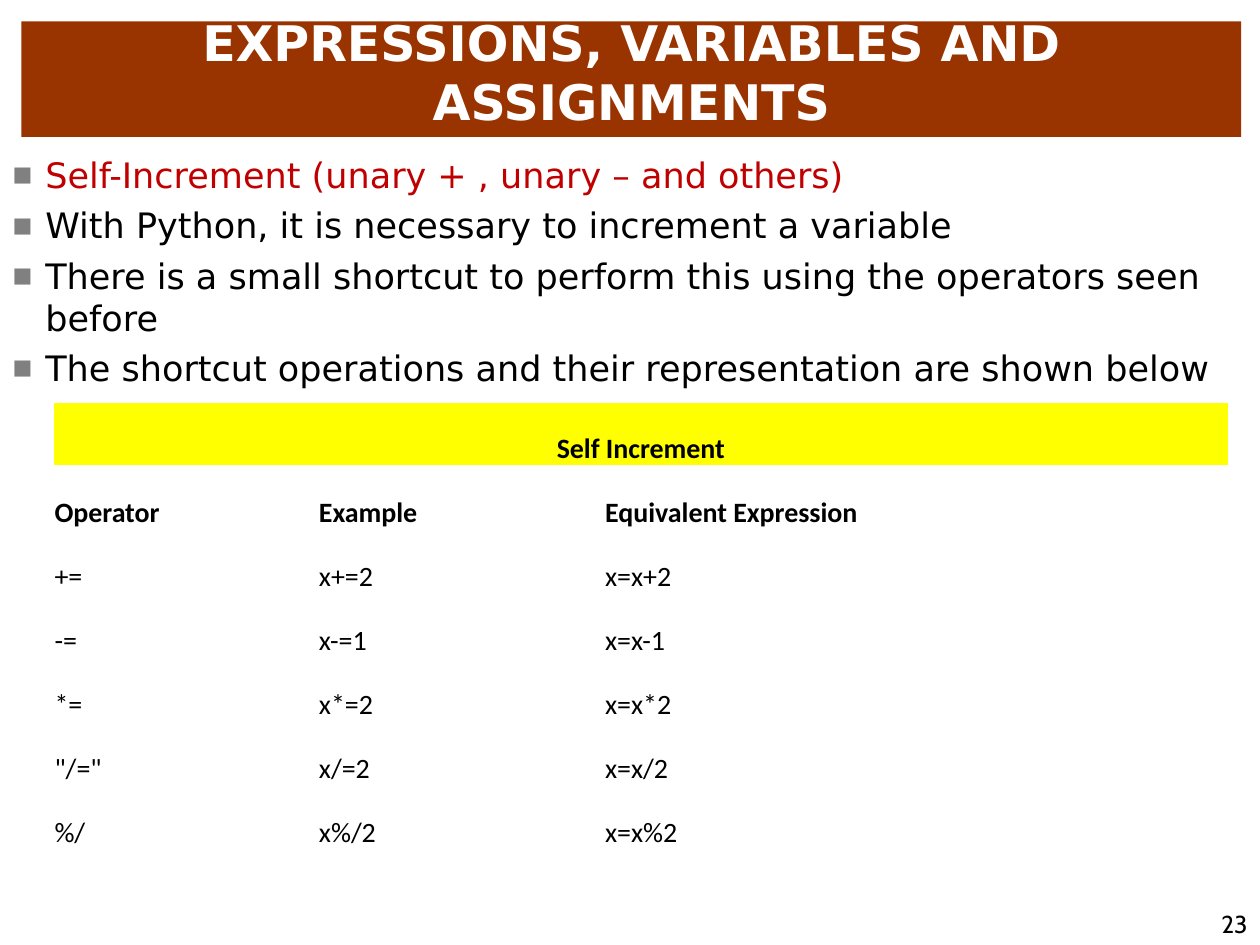
from lxml.etree import SubElement
from pptx import Presentation
from pptx.dml.color import RGBColor
from pptx.enum.text import MSO_ANCHOR as Anchor, MSO_AUTO_SIZE as AutoSize, PP_ALIGN as Align
from pptx.oxml.ns import qn
from pptx.util import Cm, Pt

COLORS = {
    "banner": "993300",
    "banner_text": "FFFFFF",
    "text": "000000",
    "accent": "C00000",
    "bullet": "808080",
    "table_title": "FFFF00",
}
HEADING_FONT = "DejaVu Sans"
TABLE_FONT = "Calibri"

TITLE = "EXPRESSIONS, VARIABLES AND ASSIGNMENTS"
POINTS = [
    ("Self-Increment (unary + , unary – and others)", "accent"),
    ("With Python, it is necessary to increment a variable", "text"),
    ("There is a small shortcut to perform this using the operators seen before", "text"),
    ("The shortcut operations and their representation are shown below", "text"),
]
TABLE_TITLE = "Self Increment"
OPERATORS = [
    ("Operator", "Example", "Equivalent Expression"),
    ("+=", "x+=2", "x=x+2"),
    ("-=", "x-=1", "x=x-1"),
    ("*=", "x*=2", "x=x*2"),
    ('"/="', "x/=2", "x=x/2"),
    ("%/", "x%/2", "x=x%2"),
]


def rgb(name):
    return RGBColor.from_string(COLORS[name])


def write(paragraph, text, *, size, font=HEADING_FONT, color="text", bold=False, align=Align.LEFT):
    paragraph.alignment = align
    run = paragraph.add_run()
    run.text = text
    run.font.name = font
    run.font.size = Pt(size)
    run.font.bold = bold
    run.font.color.rgb = rgb(color)


def place(shape, left, top, width, height):
    """Position a shape, in centimetres."""
    shape.left, shape.top, shape.width, shape.height = map(Cm, (left, top, width, height))


def add_bullet(paragraph):
    """Give the paragraph a small grey square with a hanging indent."""
    properties = paragraph._p.get_or_add_pPr()
    indent = Cm(0.66)
    properties.set("marL", str(indent))
    properties.set("indent", str(-indent))
    color = SubElement(properties, qn("a:buClr"))
    SubElement(color, qn("a:srgbClr"), val=COLORS["bullet"])
    SubElement(properties, qn("a:buSzPct"), val="60000")
    SubElement(properties, qn("a:buFont"), typeface=HEADING_FONT)
    SubElement(properties, qn("a:buChar"), char="■")


def fill_title(title):
    place(title, 0.43, 0.43, 24.59, 2.33)
    title.fill.solid()
    title.fill.fore_color.rgb = rgb("banner")
    frame = title.text_frame
    frame.auto_size = AutoSize.NONE
    frame.vertical_anchor = Anchor.BOTTOM
    write(frame.paragraphs[0], TITLE, size=28, color="banner_text", bold=True, align=Align.CENTER)


def fill_body(body):
    place(body, 0, 2.97, 25.4, 15.44)
    frame = body.text_frame
    frame.auto_size = AutoSize.NONE
    for index, (text, color) in enumerate(POINTS):
        paragraph = frame.add_paragraph() if index else frame.paragraphs[0]
        add_bullet(paragraph)
        paragraph.space_before = Pt(4.7 if index else 0)
        write(paragraph, text, size=20, color=color)


def fill_cell(cell, text, **text_format):
    cell.margin_left = cell.margin_right = cell.margin_top = Cm(0.03)
    cell.margin_bottom = 0
    cell.vertical_anchor = Anchor.BOTTOM
    cell.fill.background()
    write(cell.text_frame.paragraphs[0], text, size=16, font=TABLE_FONT, **text_format)


def add_operator_table(slide):
    widths = (5.33, 5.77, 12.6)
    row_count = len(OPERATORS) + 1
    frame = slide.shapes.add_table(
        row_count, len(widths), Cm(1.07), Cm(8.1), Cm(sum(widths)), Cm(1.29 * row_count))
    table = frame.table
    table.first_row = table.horz_banding = False
    for column, width in zip(table.columns, widths):
        column.width = Cm(width)

    heading = table.cell(0, 0)
    heading.merge(table.cell(0, len(widths) - 1))
    fill_cell(heading, TABLE_TITLE, bold=True, align=Align.CENTER)
    heading.fill.solid()
    heading.fill.fore_color.rgb = rgb("table_title")

    for row, values in enumerate(OPERATORS, start=1):
        for column, text in enumerate(values):
            fill_cell(table.cell(row, column), text, bold=row == 1)


def add_page_number(slide, number):
    box = slide.shapes.add_textbox(Cm(21.59), Cm(17.78), Cm(3.81), Cm(1.27))
    frame = box.text_frame
    frame.word_wrap = True
    frame.vertical_anchor = Anchor.BOTTOM
    write(frame.paragraphs[0], number, size=14, font="Cabin", align=Align.RIGHT)


def main():
    presentation = Presentation()
    presentation.slide_width, presentation.slide_height = Cm(25.4), Cm(19.05)
    slide = presentation.slides.add_slide(presentation.slide_layouts[1])
    fill_title(slide.shapes.title)
    fill_body(slide.placeholders[1])
    add_page_number(slide, "23")
    add_operator_table(slide)
    presentation.save("out.pptx")


if __name__ == "__main__":
    main()
